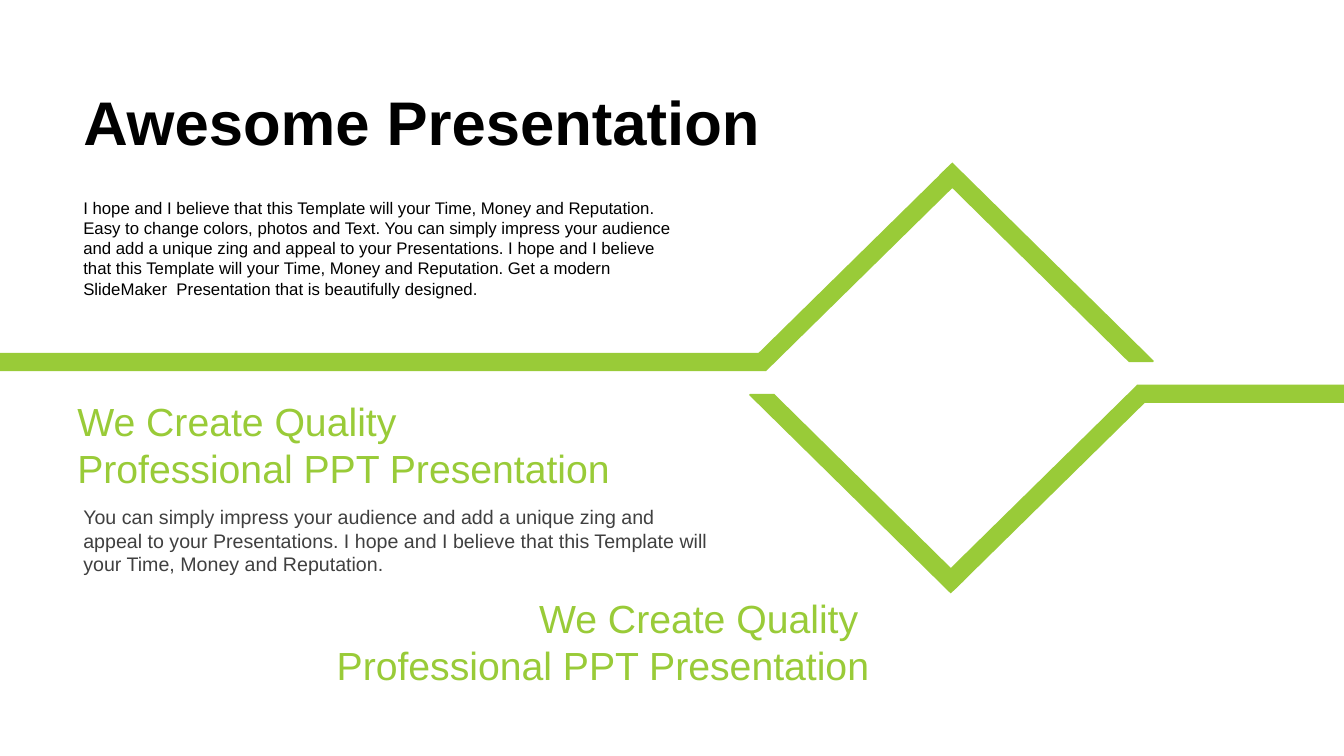
from pptx import Presentation
from pptx.dml.color import RGBColor
from pptx.enum.shapes import MSO_SHAPE
from pptx.enum.text import MSO_ANCHOR, MSO_AUTO_SIZE, PP_ALIGN
from pptx.util import Cm, Pt

GREEN = RGBColor(0x99, 0xCB, 0x38)
BLACK = RGBColor(0x00, 0x00, 0x00)
GREY = RGBColor(0x40, 0x40, 0x40)

SLIDE_WIDTH, SLIDE_HEIGHT = 33.87, 19.05
CENTER_X, CENTER_Y = 23.98, SLIDE_HEIGHT / 2
BAND = 0.46
ARM_LENGTH = 6.86
TEXT_LEFT = 1.85


def write_text(box, lines, left, top, width, height, size, color, bold=False,
               align=PP_ALIGN.LEFT, anchor=MSO_ANCHOR.TOP, side=0.25, edge=0.13):
    box.left, box.top, box.width, box.height = Cm(left), Cm(top), Cm(width), Cm(height)
    frame = box.text_frame
    frame.word_wrap = True
    frame.auto_size = MSO_AUTO_SIZE.SHAPE_TO_FIT_TEXT
    frame.vertical_anchor = anchor
    frame.margin_left = frame.margin_right = Cm(side)
    frame.margin_top = frame.margin_bottom = Cm(edge)
    for index, line in enumerate(lines):
        para = frame.add_paragraph() if index else frame.paragraphs[0]
        para.alignment = align
        span = para.add_run()
        span.text = line
        span.font.name = "Arial"
        span.font.size = Pt(size)
        span.font.bold = bold
        span.font.color.rgb = color


def paint_green(shape):
    shape.shadow.inherit = False
    shape.fill.solid()
    shape.fill.fore_color.rgb = GREEN
    shape.line.fill.background()


deck = Presentation()
deck.slide_width, deck.slide_height = Cm(SLIDE_WIDTH), Cm(SLIDE_HEIGHT)
page = deck.slides.add_slide(deck.slide_layouts[5])

tip_offsets = [(0.02, -5.43), (5.1, -0.43), (5.08, -0.4), (4.47, -0.4), (-0.31, -5.11)]

for side, turn, line_left, line_right in [(1, 45.5, 0, 19.3), (-1, 225.5, 28.65, SLIDE_WIDTH)]:
    line_middle = CENTER_Y - side * 0.4
    line = page.shapes.add_shape(
        MSO_SHAPE.RECTANGLE, Cm(line_left), Cm(line_middle - BAND / 2),
        Cm(line_right - line_left), Cm(BAND))
    paint_green(line)

    arm_x, arm_y = CENTER_X - side * 2.39, CENTER_Y - side * 2.74
    arm = page.shapes.add_shape(
        MSO_SHAPE.RECTANGLE, Cm(arm_x - BAND / 2), Cm(arm_y - ARM_LENGTH / 2),
        Cm(BAND), Cm(ARM_LENGTH))
    arm.rotation = turn
    paint_green(arm)

    points = [(Cm(CENTER_X + side * x), Cm(CENTER_Y + side * y)) for x, y in tip_offsets]
    builder = page.shapes.build_freeform(*points[0])
    builder.add_line_segments(points[1:], close=True)
    paint_green(builder.convert_to_shape())

write_text(page.shapes.title, ["Awesome Presentation"], TEXT_LEFT, 1.98, 18, 2.14,
           size=44, color=BLACK, bold=True, anchor=MSO_ANCHOR.MIDDLE)

passages = [
    (4.85, 15.37, 2.82, 12, BLACK,
     "I hope and I believe that this Template will your Time, Money and Reputation. "
     "Easy to change colors, photos and Text. You can simply impress your audience and "
     "add a unique zing and appeal to your Presentations. I hope and I believe that this "
     "Template will your Time, Money and Reputation. Get a modern SlideMaker  Presentation "
     "that is beautifully designed."),
    (12.6, 16.36, 2.06, 14, GREY,
     "You can simply impress your audience and add a unique zing and appeal to your "
     "Presentations. I hope and I believe that this Template will your Time, Money and "
     "Reputation."),
]
for top, width, height, size, color, passage in passages:
    box = page.shapes.add_textbox(0, 0, 0, 0)
    write_text(box, [passage], TEXT_LEFT, top, width, height, size=size, color=color)

slogans = [
    (TEXT_LEFT, 10.01, PP_ALIGN.LEFT, "We Create Quality"),
    (7.52, 14.96, PP_ALIGN.RIGHT, "We Create Quality "),
]
for left, top, align, opening in slogans:
    box = page.shapes.add_textbox(0, 0, 0, 0)
    write_text(box, [opening, "Professional PPT Presentation"], left, top, 14.48, 2.39,
               size=28, color=GREEN, align=align, anchor=MSO_ANCHOR.MIDDLE,
               side=0.1, edge=0)

deck.save("out.pptx")
